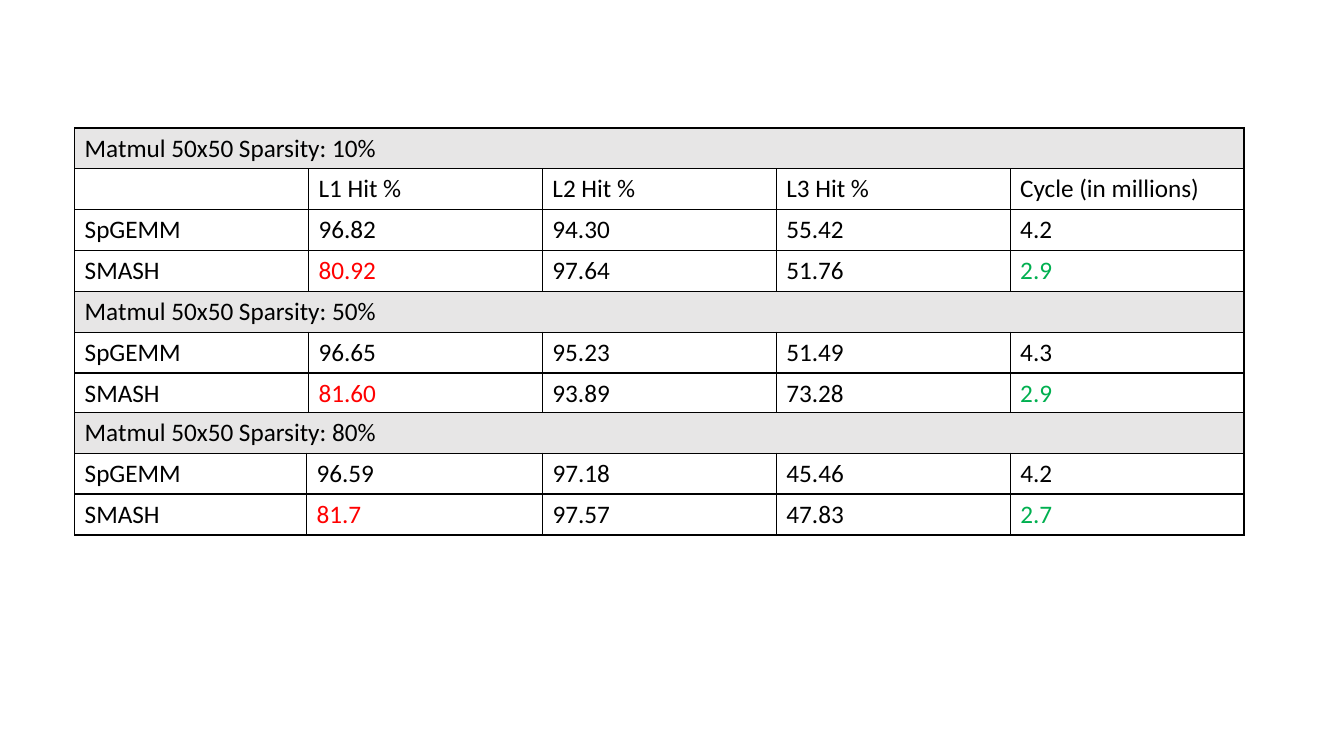
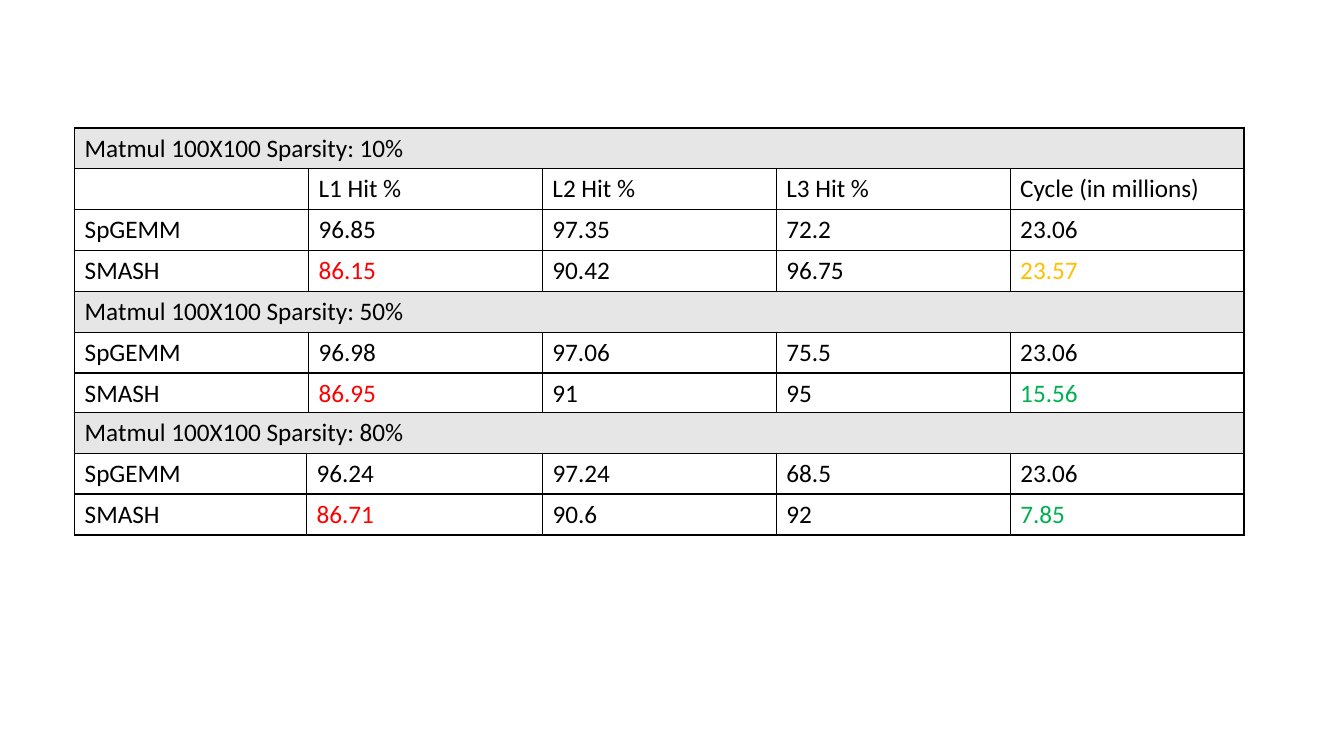
"""Build two slides of cache-hit tables comparing SpGEMM and SMASH."""
from dataclasses import dataclass

from lxml import etree
from pptx import Presentation
from pptx.dml.color import RGBColor
from pptx.oxml import ns
from pptx.util import Inches, Pt

COLORS = {
    "text": "000000",
    "border": "000000",
    "band": "E7E6E6",
    "low_hit": "FF0000",
    "faster": "00B050",
    "slower": "FFC000",
}
FONT_FORMAT = {"name": "Calibri", "size": Pt(18), "bold": False}
TABLE_FORMAT = {"first_row": False, "horz_banding": False}
HEADINGS = ("", "L1 Hit %", "L2 Hit %", "L3 Hit %", "Cycle (in millions)")
LEFT = 0.74
EVEN_COLUMNS = (2.32,) * 5
SHIFTED_COLUMNS = (2.3, 2.34) + (2.32,) * 3


@dataclass(frozen=True)
class Block:
    """Place of one sparsity table, the same on every slide."""
    sparsity: str
    top: float
    height: float
    columns: tuple[float, ...]
    has_headings: bool = False


@dataclass(frozen=True)
class Result:
    """Measured values of both methods at one sparsity."""
    spgemm: tuple[str, ...]
    smash: tuple[str, ...]


BLOCKS = (
    Block("10%", 1.27, 1.62, EVEN_COLUMNS, has_headings=True),
    Block("50%", 2.89, 1.2, EVEN_COLUMNS),
    Block("80%", 4.09, 1.2, SHIFTED_COLUMNS),
)
SLIDES = {
    "50x50": (
        Result(("96.82", "94.30", "55.42", "4.2"), ("80.92", "97.64", "51.76", "2.9")),
        Result(("96.65", "95.23", "51.49", "4.3"), ("81.60", "93.89", "73.28", "2.9")),
        Result(("96.59", "97.18", "45.46", "4.2"), ("81.7", "97.57", "47.83", "2.7")),
    ),
    "100X100": (
        Result(("96.85", "97.35", "72.2", "23.06"), ("86.15", "90.42", "96.75", "23.57")),
        Result(("96.98", "97.06", "75.5", "23.06"), ("86.95", "91", "95", "15.56")),
        Result(("96.24", "97.24", "68.5", "23.06"), ("86.71", "90.6", "92", "7.85")),
    ),
}


def rgb(name: str) -> RGBColor:
    """Return a named colour."""
    return RGBColor.from_string(COLORS[name])


def add_borders(cell) -> None:
    """Draw a thin line on all four sides of a cell."""
    properties = cell._tc.get_or_add_tcPr()
    for index, side in enumerate(("lnL", "lnR", "lnT", "lnB")):
        line = etree.Element(ns.qn(f"a:{side}"), w=str(Pt(1)))
        fill = etree.SubElement(line, ns.qn("a:solidFill"))
        etree.SubElement(fill, ns.qn("a:srgbClr"), val=COLORS["border"])
        properties.insert(index, line)


def write_cell(cell, content: str, color: str, is_band: bool) -> None:
    """Fill, outline and label one cell."""
    if is_band:
        cell.fill.solid()
        cell.fill.fore_color.rgb = rgb("band")
    else:
        cell.fill.background()
    add_borders(cell)
    paragraph = cell.text_frame.paragraphs[0]
    if content:
        paragraph.add_run().text = content
    for attribute, value in FONT_FORMAT.items():
        setattr(paragraph.font, attribute, value)
        for run in paragraph.runs:
            setattr(run.font, attribute, value)
    for run in paragraph.runs:
        run.font.color.rgb = rgb(color)


def add_block(slide, block: Block, matrix: str, result: Result) -> None:
    """Add the table of one sparsity."""
    title = f"Matmul {matrix} Sparsity: {block.sparsity}"
    rows = [(title,) + ("",) * 4]
    if block.has_headings:
        rows.append(HEADINGS)
    rows += [("SpGEMM", *result.spgemm), ("SMASH", *result.smash)]
    is_faster = float(result.smash[-1]) < float(result.spgemm[-1])
    smash_colors = {1: "low_hit", 4: "faster" if is_faster else "slower"}

    table = slide.shapes.add_table(
        len(rows), len(HEADINGS), Inches(LEFT), Inches(block.top),
        Inches(sum(block.columns)), Inches(block.height),
    ).table
    for attribute, value in TABLE_FORMAT.items():
        setattr(table, attribute, value)
    for column, width in zip(table.columns, block.columns):
        column.width = Inches(width)
    table.cell(0, 0).merge(table.cell(0, len(HEADINGS) - 1))
    for row_index, row in enumerate(rows):
        is_smash = row_index == len(rows) - 1
        for column_index, content in enumerate(row):
            color = smash_colors.get(column_index, "text") if is_smash else "text"
            write_cell(table.cell(row_index, column_index), content, color, row_index == 0)


def main() -> None:
    """Build and save the presentation."""
    presentation = Presentation()
    presentation.slide_width = Inches(13.33)
    presentation.slide_height = Inches(7.5)
    for matrix, results in SLIDES.items():
        slide = presentation.slides.add_slide(presentation.slide_layouts[6])
        for block, result in zip(BLOCKS, results):
            add_block(slide, block, matrix, result)
    presentation.save("out.pptx")


if __name__ == "__main__":
    main()
